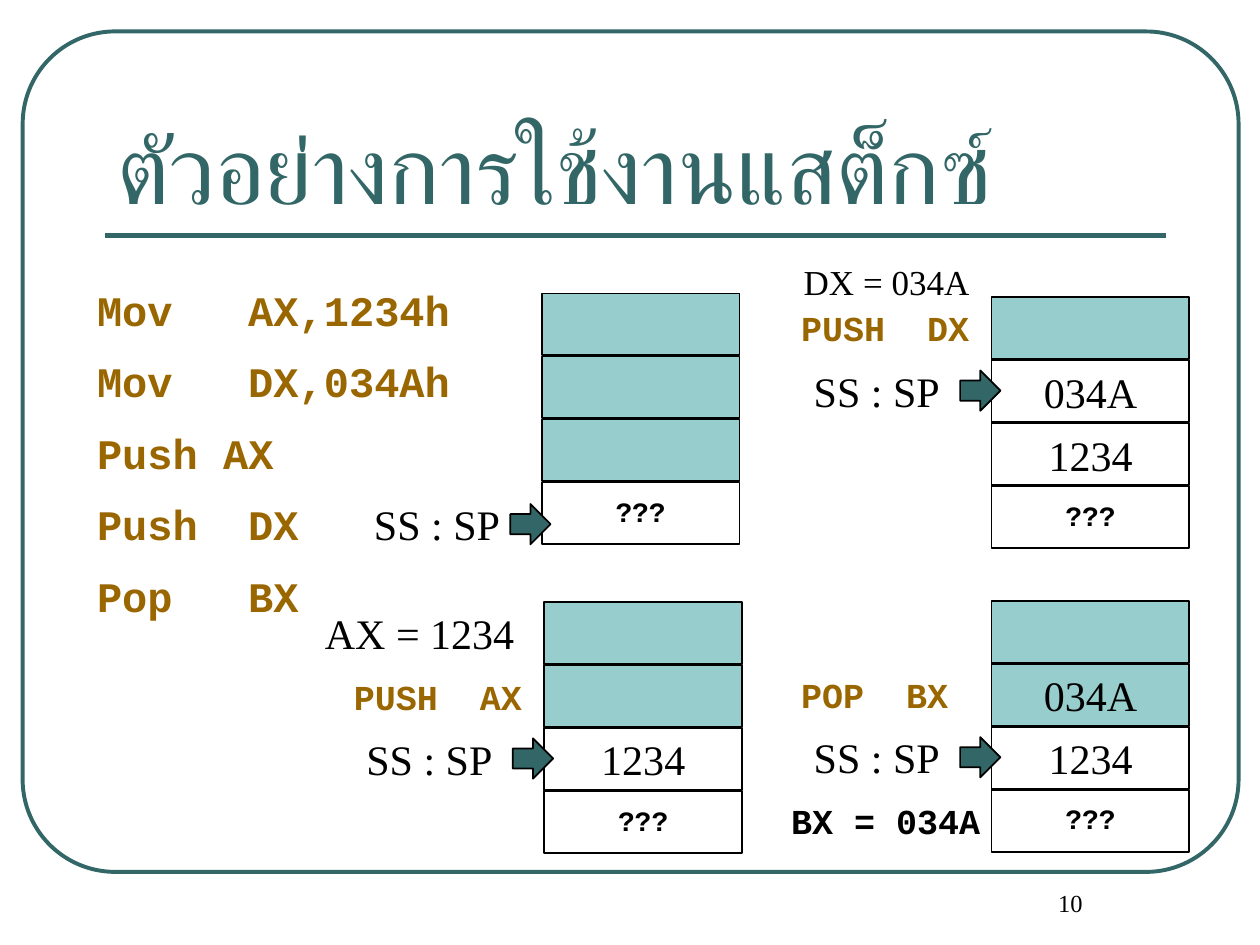
from lxml.etree import SubElement
from pptx import Presentation
from pptx.dml.color import RGBColor
from pptx.enum.shapes import MSO_CONNECTOR, MSO_SHAPE
from pptx.enum.text import MSO_ANCHOR, MSO_AUTO_SIZE, PP_ALIGN
from pptx.oxml.ns import qn
from pptx.util import Inches, Pt

HUES = {"teal": "336666", "aqua": "97CDCC", "white": "FFFFFF",
        "black": "000000", "gold": "996600"}
INK = {key: RGBColor.from_string(val) for key, val in HUES.items()}
SERIF, MONO = "Times New Roman", "Courier New"
LOOKS = {
    "title": ("teal", {"name": "Montserrat", "size": Pt(55), "bold": False}),
    "code": ("gold", {"name": MONO, "size": Pt(24), "bold": True}),
    "step": ("gold", {"name": MONO, "size": Pt(20), "bold": True}),
    "result": ("black", {"name": MONO, "size": Pt(20), "bold": True}),
    "empty": ("black", {"name": MONO, "size": Pt(16), "bold": True}),
    "value": ("black", {"name": SERIF, "size": Pt(24), "bold": False}),
    "small": ("black", {"name": SERIF, "size": Pt(20), "bold": False}),
    "page": ("black", {"name": SERIF, "size": Pt(14), "bold": False}),
}

deck = Presentation()
deck.slide_width, deck.slide_height = Inches(10), Inches(7.5)
COL, ROW = deck.slide_width / 10, deck.slide_height / 7.5
slide = deck.slides.add_slide(deck.slide_layouts[1])
shapes = slide.shapes


def place(item, left, top, wide, high):
    spots = {"left": left * COL, "top": top * ROW,
             "width": wide * COL, "height": high * ROW}
    for key, val in spots.items():
        setattr(item, key, int(val))
    return item


def write(para, text, look, align=PP_ALIGN.LEFT):
    ink, form = LOOKS[look]
    para.alignment = align
    run = para.add_run()
    run.text = text
    for key, val in form.items():
        setattr(run.font, key, val)
    run.font.color.rgb = INK[ink]


frame = place(shapes.add_shape(MSO_SHAPE.ROUNDED_RECTANGLE, 0, 0, 1, 1),
              0.18, 0.25, 9.65, 6.67)
frame.adjustments[0] = 0.11
frame.shadow.inherit = False
frame.fill.background()
frame.line.color.rgb = INK["teal"]
frame.line.width = Pt(2.25)

rule = shapes.add_connector(MSO_CONNECTOR.STRAIGHT, int(0.83 * COL), int(1.87 * ROW),
                            int(9.25 * COL), int(1.87 * ROW))
rule.line.color.rgb = INK["teal"]
rule.line.width = Pt(3)
SubElement(rule.element.spPr, qn("a:effectLst"))

title = place(shapes.title, 0.83, 0.58, 8.42, 1.25)
title.text_frame.vertical_anchor = MSO_ANCHOR.BOTTOM
title.text_frame.auto_size = MSO_AUTO_SIZE.NONE
write(title.text_frame.paragraphs[0], "ตัวอย่างการใช้งานแสต็กซ์", "title")

body = place(slide.placeholders[1], 0.67, 2.25, 3.31, 2.73).text_frame
body.auto_size = MSO_AUTO_SIZE.NONE
lines = ["Mov\t AX,1234h", "Mov\t DX,034Ah", "Push AX", "Push\t DX", "Pop\t BX"]
for num, line in enumerate(lines):
    para = body.add_paragraph() if num else body.paragraphs[0]
    para.line_spacing = 0.9
    para.space_before = Pt(15 if num else 0)
    props = para._p.get_or_add_pPr()
    props.set("marL", "0")
    props.set("indent", "0")
    SubElement(props, qn("a:buNone"))
    tabs = SubElement(props, qn("a:tabLst"))
    SubElement(tabs, qn("a:tab"), pos=str(Inches(0.83)), algn="l")
    write(para, line, "code")

stacks = [
    (4.30, 2.33, 3, ["", "", "", "???"], 3, 0.17, 1.43),
    (4.32, 4.78, 2, ["", "", "1234", "???"], 2, 0.08, 1.51),
    (7.87, 2.36, 1, ["", "034A", "1234", "???"], 1, 0.08, 1.51),
    (7.87, 4.77, 2, ["", "034A", "1234", "???"], 2, 0.08, 1.51),
]
notes = [
    (2.48, 4.77, 1.71, 0.5, "AX = 1234", "value"),
    (2.71, 5.31, 1.54, 0.43, "PUSH  AX", "step"),
    (6.28, 2.02, 1.52, 0.43, "DX = 034A", "small"),
    (6.26, 2.38, 1.54, 0.43, "PUSH  DX", "step"),
    (6.26, 5.30, 1.37, 0.43, "POP  BX", "step"),
    (6.18, 6.30, 1.71, 0.43, "BX = 034A", "result"),
]
for left, top, free, cells, spot, drop, back in stacks:
    parts = [(MSO_SHAPE.RECTANGLE, left, top + num / 2, 1.57, 0.49,
              "aqua" if num < free else "white", text)
             for num, text in enumerate(cells)]
    tip = top + spot / 2 + drop
    parts.append((MSO_SHAPE.RIGHT_ARROW, left - 0.25, tip, 0.32, 0.32, "teal", ""))
    notes.append((left - back, tip - 0.09, 1.2, 0.5, "SS : SP", "value"))
    for kind, x, y, wide, high, hue, text in parts:
        part = place(shapes.add_shape(kind, 0, 0, 1, 1), x, y, wide, high)
        part.shadow.inherit = False
        part.fill.solid()
        part.fill.fore_color.rgb = INK[hue]
        part.line.color.rgb = INK["black"]
        part.line.width = Pt(1)
        if text:
            part.text_frame.word_wrap = False
            part.text_frame.vertical_anchor = MSO_ANCHOR.MIDDLE
            para = part.text_frame.paragraphs[0]
            if text == "???":
                para.line_spacing = 0.9
            write(para, text, "empty" if text == "???" else "value", PP_ALIGN.CENTER)

for left, top, wide, high, text, look in notes:
    note = place(shapes.add_textbox(0, 0, 1, 1), left, top, wide, high)
    note.text_frame.word_wrap = False
    write(note.text_frame.paragraphs[0], text, look)

page = place(shapes.add_textbox(0, 0, 1, 1), 7.5, 7, 1.75, 0.5).text_frame
page.word_wrap = True
page.margin_left = Inches(0.34)
write(page.paragraphs[0], "10", "page", PP_ALIGN.CENTER)

deck.save("out.pptx")
